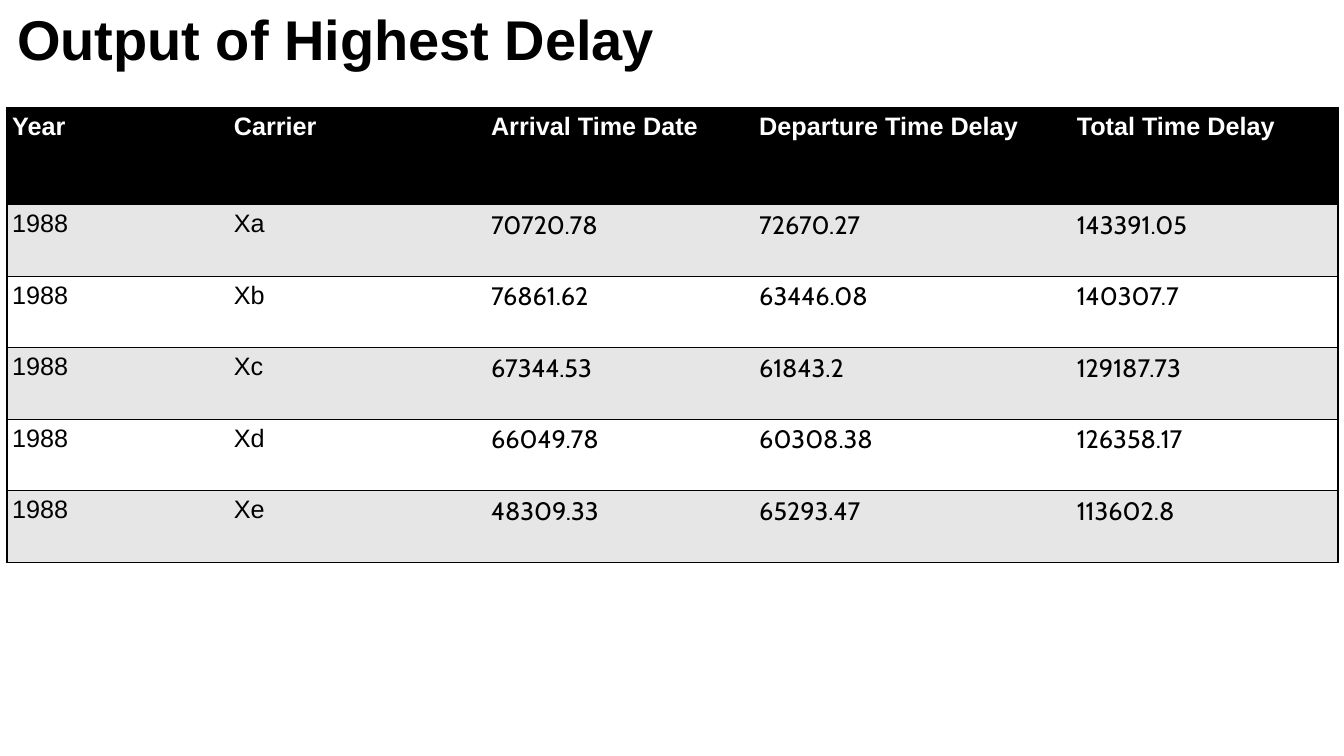
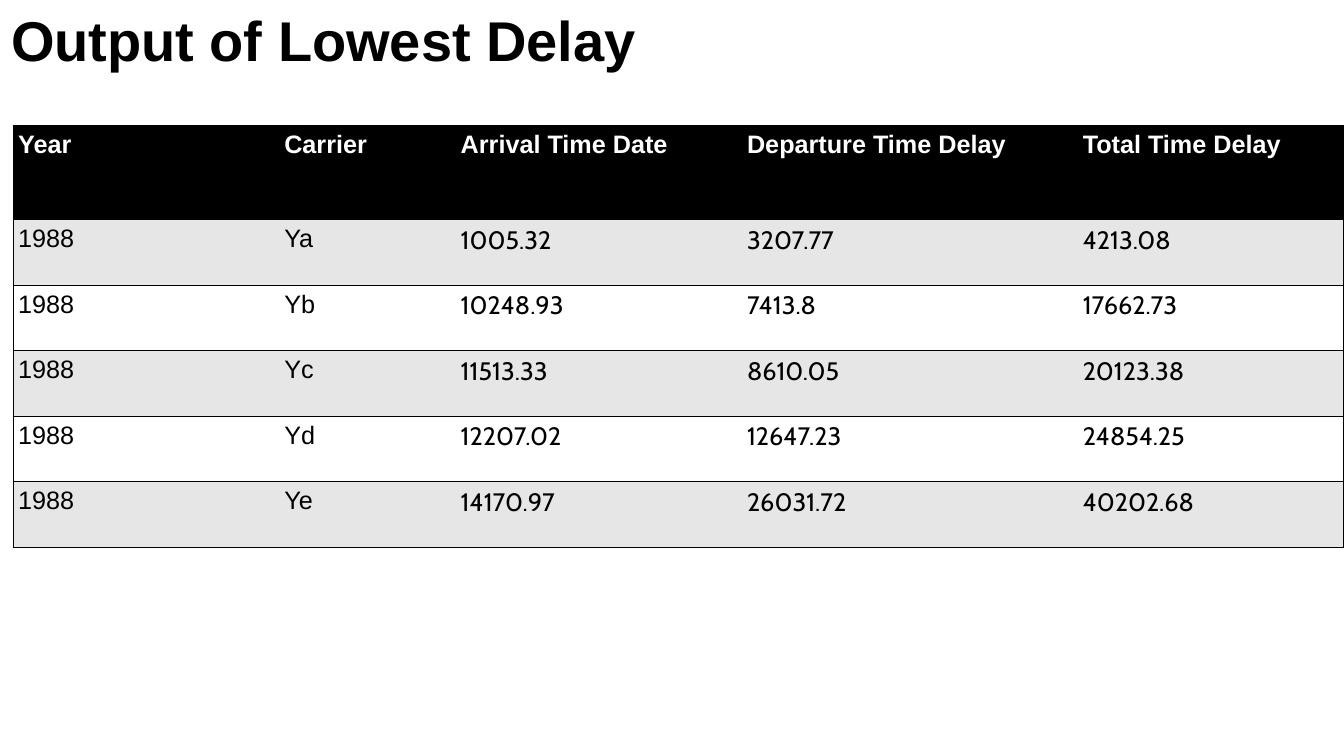
from dataclasses import dataclass

from lxml import etree
from pptx import Presentation
from pptx.dml.color import RGBColor
from pptx.enum import text
from pptx.oxml.ns import qn
from pptx.util import Inches, Pt


@dataclass(frozen=True)
class Theme:
    black: str = "000000"
    white: str = "FFFFFF"
    band: str = "E6E6E6"
    font: str = "Arial"
    number_font: str = "Cabin"
    title_size: int = 40
    table_size: int = 18
    rule: int = 1
    inset: float = 0.05


T = Theme()
YEAR = "1988"
HEADER = ("Year", "Carrier", "Arrival Time Date", "Departure Time Delay", "Total Time Delay")
FIRST_NUMBER_COL = 2

HIGHEST = (
    ("Xa", "70720.78", "72670.27", "143391.05"),
    ("Xb", "76861.62", "63446.08", "140307.7"),
    ("Xc", "67344.53", "61843.2", "129187.73"),
    ("Xd", "66049.78", "60308.38", "126358.17"),
    ("Xe", "48309.33", "65293.47", "113602.8"),
)
LOWEST = (
    ("Ya", "1005.32", "3207.77", "4213.08"),
    ("Yb", "10248.93", "7413.8", "17662.73"),
    ("Yc", "11513.33", "8610.05", "20123.38"),
    ("Yd", "12207.02", "12647.23", "24854.25"),
    ("Ye", "14170.97", "26031.72", "40202.68"),
)


def write(tf, content, size=T.table_size, font=T.font, color=T.black, bold=False):
    r = tf.paragraphs[0].add_run()
    r.text = content
    r.font.size = Pt(size)
    r.font.name = font
    r.font.bold = bold
    r.font.color.rgb = RGBColor.from_string(color)


def set_insets(box):
    """Give a text frame or a table cell the shared inner margins."""
    box.margin_left = box.margin_right = Inches(T.inset)
    box.margin_top = box.margin_bottom = Inches(T.inset)


def set_borders(cell, drawn):
    """Rule the sides named in drawn (L, R, T, B) and clear the others."""
    tcPr = cell._tc.get_or_add_tcPr()
    for side in "LRTB":
        ln = etree.SubElement(tcPr, qn(f"a:ln{side}"), w=str(Pt(T.rule)))
        if side in drawn:
            fill = etree.SubElement(ln, qn("a:solidFill"))
            etree.SubElement(fill, qn("a:srgbClr"), val=T.black)
        else:
            etree.SubElement(ln, qn("a:noFill"))


def add_title(s, content, left, top):
    tf = s.shapes.add_textbox(Inches(left), Inches(top), Inches(9.4), Inches(2)).text_frame
    tf.word_wrap = True
    tf.vertical_anchor = text.MSO_ANCHOR.BOTTOM
    set_insets(tf)
    write(tf, content, size=T.title_size, bold=True)


def style_cell(cell, content, row, col):
    is_header = row == 0
    set_insets(cell)
    sides = "TB" + ("L" if col == 0 else "") + ("R" if col == len(HEADER) - 1 else "")
    set_borders(cell, sides)
    fill = T.black if is_header else T.band if row % 2 else T.white
    cell.fill.solid()
    cell.fill.fore_color.rgb = RGBColor.from_string(fill)
    is_number = not is_header and col >= FIRST_NUMBER_COL
    write(cell.text_frame, content, bold=is_header,
          font=T.number_font if is_number else T.font,
          color=T.white if is_header else T.black)


def add_delay_table(s, records, left, top, widths, header_height, row_height):
    rows = [HEADER] + [(YEAR, *record) for record in records]
    heights = [header_height] + [row_height] * len(records)
    table = s.shapes.add_table(len(rows), len(HEADER), Inches(left), Inches(top),
                               Inches(sum(widths)), Inches(sum(heights))).table
    for column, width in zip(table.columns, widths):
        column.width = Inches(width)
    for i, (values, height) in enumerate(zip(rows, heights)):
        table.rows[i].height = Inches(height)
        for j, value in enumerate(values):
            style_cell(table.cell(i, j), value, i, j)


def add_slide(prs):
    return prs.slides.add_slide(prs.slide_layouts[6])


def main():
    prs = Presentation()
    prs.slide_width, prs.slide_height = Inches(13.33), Inches(7.5)

    s = add_slide(prs)
    add_title(s, "Output of Highest Delay", 0.12, -1.24)
    add_delay_table(s, HIGHEST, 0.07, 1.07, (2.2, 2.55, 2.66, 3.15, 2.64), 0.96, 0.71)

    s = add_slide(prs)
    add_title(s, "Output of Lowest Delay", 0.06, -1.23)
    add_delay_table(s, LOWEST, 0.13, 1.25, (2.64, 1.75, 2.84, 3.33, 2.64), 0.93, 0.65)

    prs.save("out.pptx")


if __name__ == "__main__":
    main()
